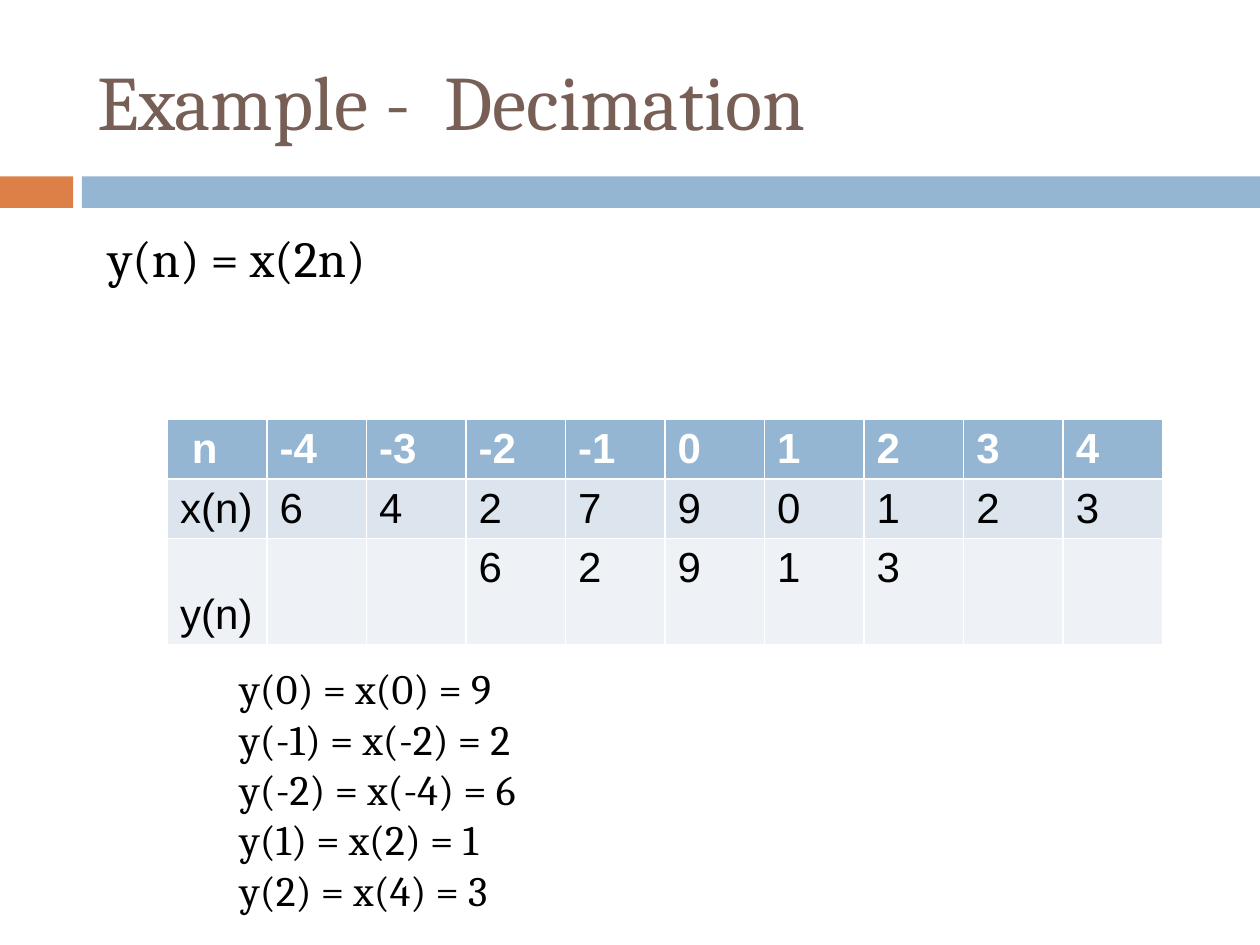
from pptx import Presentation
from pptx.dml.color import RGBColor
from pptx.enum.shapes import MSO_SHAPE
from pptx.enum.text import MSO_ANCHOR, MSO_AUTO_SIZE, PP_ALIGN
from pptx.util import Inches, Pt

RECT = MSO_SHAPE.RECTANGLE
MIDDLE, TOP = MSO_ANCHOR.MIDDLE, MSO_ANCHOR.TOP
NO_FIT = MSO_AUTO_SIZE.NONE
LEFT = PP_ALIGN.LEFT

BLACK, WHITE, BROWN = "000000", "FFFFFF", "775F55"
ORANGE, BLUE = "DD8047", "94B6D2"
ROW_FILLS = [BLUE, "DCE5EE", "EEF2F7"]

SAMPLES = [
    [" n", "-4", "-3", "-2", "-1", "0", "1", "2", "3", "4"],
    ["x(n)", "6", "4", "2", "7", "9", "0", "1", "2", "3"],
    [" y(n)", "", "", "6", "2", "9", "1", "3", "", ""],
]
STEPS = [
    " y(0) = x(0) = 9",
    " y(-1) = x(-2) = 2",
    " y(-2) = x(-4) = 6",
    " y(1) = x(2) = 1",
    " y(2) = x(4) = 3",
]


def rgb(color):
    return RGBColor.from_string(color)


class SlideBuilder:
    text_font = "Cambria"
    table_font = "Arial"

    def __init__(self, s):
        self.s = s

    def format_text(self, tf, font, size, color, bold=False):
        for p in tf.paragraphs:
            p.alignment = LEFT
            for r in p.runs:
                r.font.name = font
                r.font.size = Pt(size)
                r.font.bold = bold
                r.font.color.rgb = rgb(color)

    def fill_frame(self, tf, text, size, color, anchor):
        tf.text = text
        tf.word_wrap = True
        tf.auto_size = NO_FIT
        tf.vertical_anchor = anchor
        self.format_text(tf, self.text_font, size, color)

    def title(self, text, left, top, width, height):
        sp = self.s.shapes.title
        sp.left, sp.top = Inches(left), Inches(top)
        sp.width, sp.height = Inches(width), Inches(height)
        self.fill_frame(sp.text_frame, text, 44, BROWN, MIDDLE)

    def text(self, text, left, top, width, height, size):
        sp = self.s.shapes.add_textbox(
            Inches(left), Inches(top), Inches(width), Inches(height))
        self.fill_frame(sp.text_frame, text, size, BLACK, TOP)

    def bar(self, left, top, width, height, color):
        sp = self.s.shapes.add_shape(
            RECT, Inches(left), Inches(top), Inches(width), Inches(height))
        sp.shadow.inherit = False
        sp.fill.solid()
        sp.fill.fore_color.rgb = rgb(color)
        sp.line.fill.background()

    def table(self, rows, left, top, col_width, row_height):
        n_rows, n_cols = len(rows), len(rows[0])
        table = self.s.shapes.add_table(
            n_rows, n_cols, Inches(left), Inches(top),
            Inches(col_width * n_cols), Inches(row_height * n_rows)).table
        table.horz_banding = False
        for col in table.columns:
            col.width = Inches(col_width)
        for i, values in enumerate(rows):
            header = i == 0
            for j, value in enumerate(values):
                cell = table.cell(i, j)
                cell.fill.solid()
                cell.fill.fore_color.rgb = rgb(ROW_FILLS[i])
                cell.text_frame.text = value
                self.format_text(cell.text_frame, self.table_font, 24,
                                 WHITE if header else BLACK, header)


def main():
    prs = Presentation()
    prs.slide_width, prs.slide_height = Inches(10), Inches(7.5)
    b = SlideBuilder(prs.slides.add_slide(prs.slide_layouts[5]))
    b.bar(0, 1.4, 0.58, 0.25, ORANGE)
    b.bar(0.65, 1.4, 9.35, 0.25, BLUE)
    b.title("Example -  Decimation", 0.67, 0.25, 8.92, 1.08)
    b.text(" y(n) = x(2n)", 0.67, 1.75, 8.92, 4.92, 29)
    b.table(SAMPLES, 1.33, 3.33, 0.79, 0.41)
    b.text("\n".join(STEPS), 1.73, 5.21, 2.72, 2.12, 24)
    prs.save("out.pptx")


if __name__ == "__main__":
    main()
